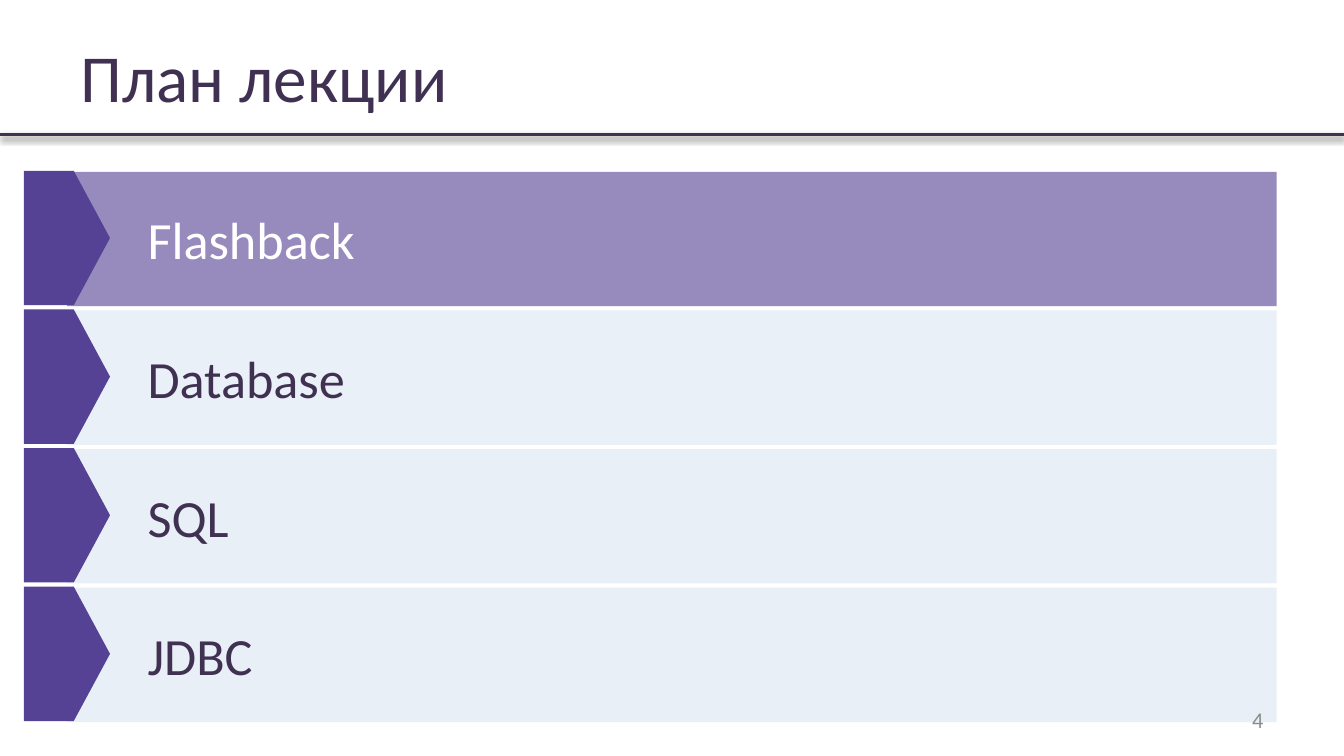
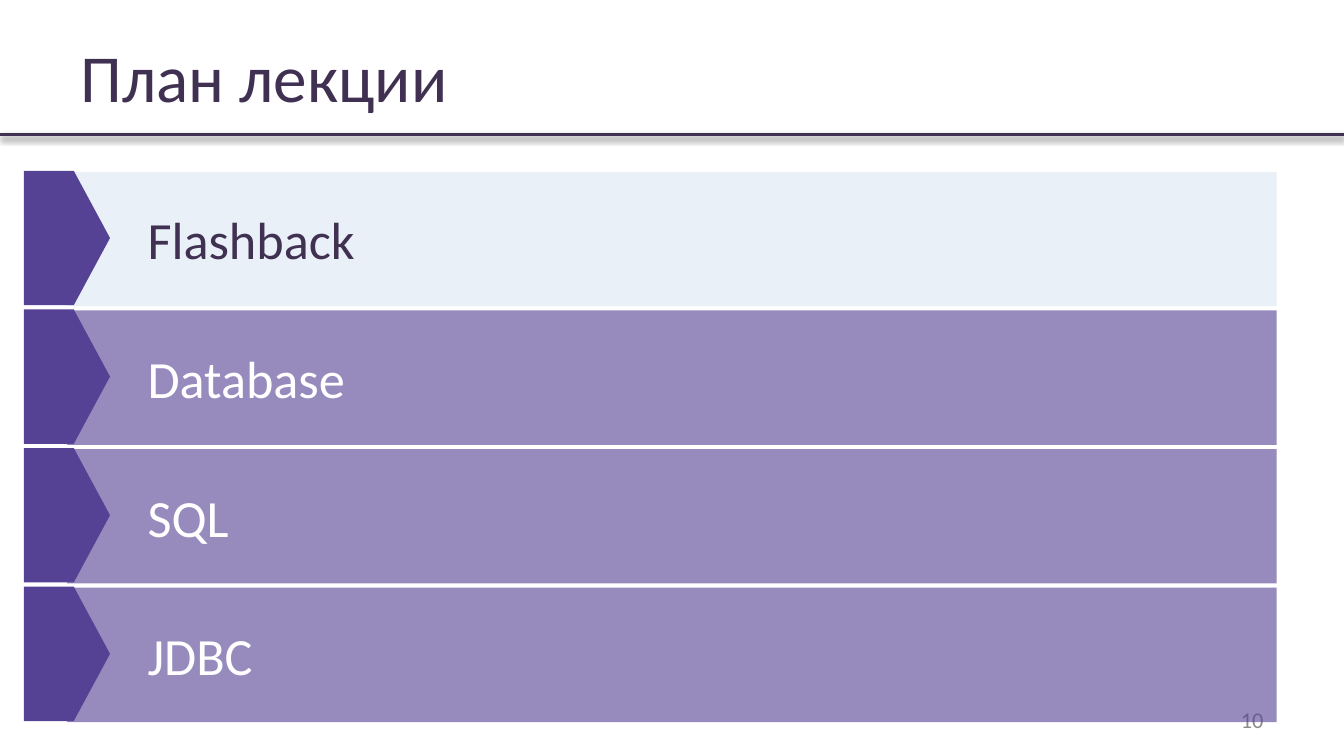
from lxml import etree
from pptx import Presentation
from pptx import util as u
from pptx.dml.color import RGBColor
from pptx.enum import shapes, text
from pptx.oxml import parse_xml
from pptx.oxml.ns import nsdecls, qn

INK = RGBColor(0x40, 0x31, 0x52)
WHITE = RGBColor(0xFF, 0xFF, 0xFF)
GREY = RGBColor(0x8B, 0x8B, 0x8B)
VIOLET = RGBColor(0x55, 0x42, 0x94)
LILAC = RGBColor(0x97, 0x8B, 0xBE)
PALE = RGBColor(0xEA, 0xF0, 0xF7)
ICE = RGBColor(0xDC, 0xE6, 0xF2)

FONT = "Calibri"
WIDE, HIGH = 25.4, 14.29
LEFT, SPAN = 1.27, 22.86
TOP, STEP, ROW = 3.25, 2.62, 2.54
TOPICS = ("Flashback", "Database", "SQL", "JDBC")

# Bar styles: fill, opacity in percent, text colour
REST = (PALE, 100, INK)
SHEER = (ICE, 61, INK)
LIT = (LILAC, 100, WHITE)
GLOW = (VIOLET, 61, WHITE)

# Page number, bar styles, whether the bars cover the page number
PAGES = (
    ("4", (LIT, REST, SHEER, SHEER), False),
    ("10", (REST, GLOW, GLOW, GLOW), True),
)


def box(at):
    """Turn left, top, width, height in centimetres into lengths."""
    return [u.Cm(n) for n in at]


def write(shape, words, size, color, align=text.PP_ALIGN.LEFT):
    """Put one vertically centred paragraph into a shape."""
    frame = shape.text_frame
    frame.word_wrap = True
    frame.vertical_anchor = text.MSO_ANCHOR.MIDDLE
    para = frame.paragraphs[0]
    para.text = words
    para.alignment = align
    para.font.name = FONT
    para.font.size = u.Pt(size)
    para.font.color.rgb = color
    return para


def label(slide, at, *style):
    """Add a text box."""
    write(slide.shapes.add_textbox(*box(at)), *style)


def block(slide, kind, at, color, alpha=100):
    """Add a filled shape without outline, see-through if alpha is below 100."""
    shape = slide.shapes.add_shape(kind, *box(at))
    shape.shadow.inherit = False
    shape.fill.solid()
    shape.fill.fore_color.rgb = color
    shape.line.fill.background()
    if alpha < 100:
        tint = shape.fill._xPr.find(qn("a:solidFill"))[0]
        etree.SubElement(tint, qn("a:alpha")).set("val", str(alpha * 1000))
    return shape


def rule(slide):
    """Draw the shadowed line below the title."""
    line = slide.shapes.add_connector(
        shapes.MSO_CONNECTOR.STRAIGHT, *box((0, 2.54, WIDE, 2.54)))
    line.line.color.rgb = INK
    line.line.width = u.Pt(2)
    line._element.spPr.append(parse_xml(
        f'<a:effectLst {nsdecls("a")}>'
        '<a:outerShdw blurRad="40000" dist="20000" dir="5400000" rotWithShape="0">'
        '<a:srgbClr val="000000"><a:alpha val="38000"/></a:srgbClr>'
        '</a:outerShdw></a:effectLst>'))


def bar(slide, row, words, style):
    """Add the bar of one topic."""
    fill, alpha, ink = style
    shape = block(slide, shapes.MSO_SHAPE.RECTANGLE,
                  (LEFT, TOP + row * STEP, SPAN, ROW), fill, alpha)
    para = write(shape, words, 28, ink)
    para._p.get_or_add_pPr().set("marL", str(u.Cm(1.27)))


def tag(slide, row):
    """Add the pentagon at the left end of a bar."""
    shape = block(slide, shapes.MSO_SHAPE.PENTAGON,
                  (0.45, TOP - 0.02 + row * STEP, 1.63, ROW), VIOLET)
    shape.adjustments[0] = 0.42


def number(slide, page):
    """Add the page number."""
    label(slide, (18.2, 13.23, 5.93, 0.76), page, 12, GREY, text.PP_ALIGN.RIGHT)


def plan(deck, page, styles, under):
    """Build one lecture plan slide."""
    slide = deck.slides.add_slide(deck.slide_layouts[6])
    rule(slide)
    label(slide, (LEFT, 0.58, SPAN, 1.7), "План лекции", 36, INK)
    if under:
        number(slide, page)
    for row, (words, style) in enumerate(zip(TOPICS, styles)):
        bar(slide, row, words, style)
        tag(slide, row)
    if not under:
        number(slide, page)


def main():
    """Build and save the deck."""
    deck = Presentation()
    deck.slide_width, deck.slide_height = u.Cm(WIDE), u.Cm(HIGH)
    for page in PAGES:
        plan(deck, *page)
    deck.save("out.pptx")


main()
